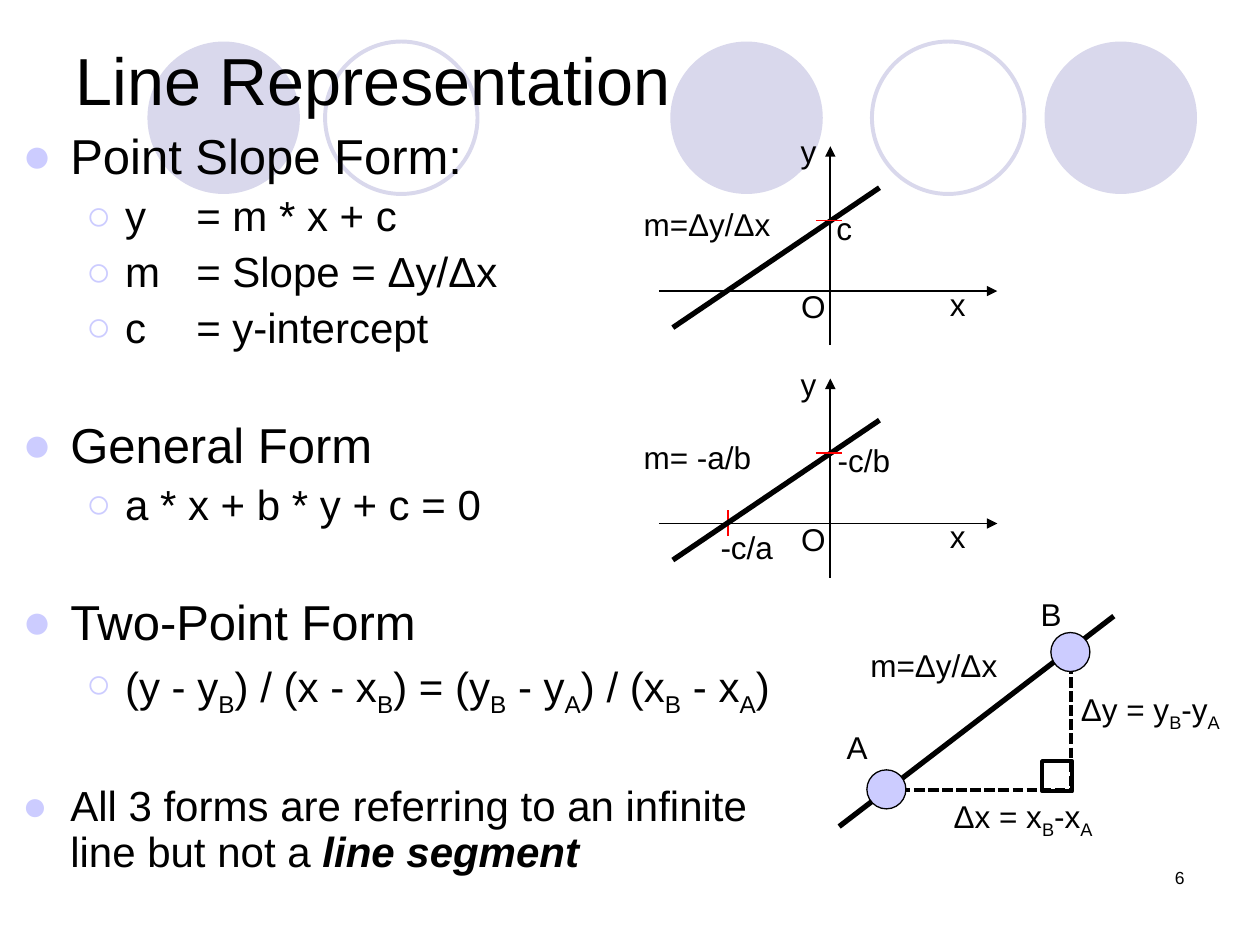
from dataclasses import dataclass
from typing import Optional

import lxml.etree
import pptx
import pptx.dml.color
import pptx.enum.dml
import pptx.enum.shapes
import pptx.enum.text
import pptx.oxml.ns
import pptx.util

COLUMNS, ROWS = 100, 75
CELL = pptx.util.Inches(0.1)
GRAPH_STEP = 18.45


@dataclass(frozen=True)
class Theme:
    font: str = "Arial"
    ink: str = "000000"
    decor: str = "D9D8EC"
    accent: str = "CCCCFF"
    mark: str = "FF0000"
    title: float = 38
    heading: float = 28
    detail: float = 24
    label: float = 18
    number: float = 10


@dataclass(frozen=True)
class Level:
    bullet: str
    left: float
    hanging: float


@dataclass(frozen=True)
class Point:
    text: str
    level: Level
    size: float
    before: float


@dataclass(frozen=True)
class Stroke:
    start: tuple[float, float]
    end: tuple[float, float]
    width: float = 1
    color: str = Theme.ink
    arrow: bool = False
    dashed: bool = False


@dataclass(frozen=True)
class Label:
    text: str
    left: float
    top: float
    width: float
    height: float = 4


THEME = Theme()
FORM = Level("●", 3.8, 3.8)
FORMULA = Level("○", 8.15, 3.1)
POINTS = [
    Point("Point Slope Form:", FORM, THEME.heading, 0),
    Point("y\t= m * x + c", FORMULA, THEME.detail, 6),
    Point("m\t= Slope = Δy/Δx", FORMULA, THEME.detail, 6),
    Point("c\t= y-intercept", FORMULA, THEME.detail, 6),
    Point("General Form", FORM, THEME.heading, 39),
    Point("a * x + b * y + c = 0", FORMULA, THEME.detail, 6),
    Point("Two-Point Form", FORM, THEME.heading, 39),
    Point("(y - y_B) / (x - x_B) = (y_B - y_A) / (x_B - x_A)", FORMULA, THEME.detail, 6),
    Point("All 3 forms are referring to an infinite line but not a |line segment",
          FORM, THEME.detail, 41.5),
]
AXES = [
    Stroke((52.3, 23.1), (79.15, 23.1), arrow=True),
    Stroke((65.9, 27.4), (65.9, 11.6), arrow=True),
    Stroke((53.4, 26), (69.8, 14.9), 3),
    Stroke((64.75, 17.5), (66.8, 17.5), color=THEME.mark),
]
AXIS_LABELS = [
    Label("O", 62.6, 22.3, 3.9),
    Label("y", 62.55, 10, 3.2),
    Label("x", 74.4, 22.1, 3.9),
]
SLOPE_LABELS = [Label("m=Δy/Δx", 50.1, 15.8, 12.5), Label("c", 65.4, 16.1, 3.2)]
GENERAL_LABELS = [
    Label("m= -a/b", 50.1, 15.8, 11),
    Label("-c/b", 65.5, 16.1, 6.5),
    Label("-c/a", 56.2, 22.95, 6.5),
]
X_INTERCEPT = Stroke((57.8, 24.1), (57.8, 22), color=THEME.mark)
TRIANGLE = [
    Stroke((70.3, 62.7), (85.1, 62.7), 2, dashed=True),
    Stroke((85, 51.5), (85, 62.9), 2, dashed=True),
    Stroke((66.6, 65.6), (88.4, 48.9), 3),
]
TRIANGLE_LABELS = [
    Label("m=Δy/Δx", 68.1, 50.8, 12.5),
    Label("A", 66.2, 57.3, 3.8),
    Label("B", 81.6, 46.7, 3.8),
    Label("Δx = x_B-x_A", 74.7, 62.8, 13.6, 4.4),
    Label("Δy = y_B-y_A", 84.8, 54.3, 13.6, 4.4),
]


def cells(count: float) -> int:
    return round(count * CELL)


def rgb(color: str) -> pptx.dml.color.RGBColor:
    return pptx.dml.color.RGBColor.from_string(color)


def child(parent, tag: str, **attributes: str):
    return lxml.etree.SubElement(parent, pptx.oxml.ns.qn(tag), **attributes)


def text_frame(slide, left: float, top: float, width: float, height: float):
    frame = slide.shapes.add_textbox(*map(cells, (left, top, width, height))).text_frame
    frame.word_wrap = True
    return frame


def write(frame, text: str, *, size: float, level: Optional[Level] = None,
          before: float = 0, right: bool = False) -> None:
    paragraph = frame.paragraphs[0]
    if paragraph.runs:
        paragraph = frame.add_paragraph()
    if right:
        paragraph.alignment = pptx.enum.text.PP_ALIGN.RIGHT
    if level:
        paragraph.line_spacing = 0.9
        paragraph.space_before = pptx.util.Pt(before)
        properties = paragraph._p.get_or_add_pPr()
        properties.set("marL", str(cells(level.left)))
        properties.set("indent", str(-cells(level.hanging)))
        child(child(properties, "a:buClr"), "a:srgbClr", val=THEME.accent)
        child(properties, "a:buFont", typeface=THEME.font)
        child(properties, "a:buChar", char=level.bullet)
        child(child(properties, "a:tabLst"), "a:tab", pos=str(cells(13.8)), algn="l")
    for part, phrase in enumerate(text.split("|")):
        first, *rest = phrase.split("_")
        pieces = [(first, False)]
        for piece in rest:
            pieces += [(piece[0], True), (piece[1:], False)]
        for words, subscript in pieces:
            if not words:
                continue
            run = paragraph.add_run()
            run.text = words
            run.font.name = THEME.font
            run.font.size = pptx.util.Pt(size)
            run.font.color.rgb = rgb(THEME.ink)
            if part:
                run.font.bold = run.font.italic = True
            if subscript:
                run._r.get_or_add_rPr().set("baseline", "-25000")


def draw_shape(slide, kind: str, left: float, top: float, side: float, *,
               fill: Optional[str] = None, line: Optional[str] = None, width: float = 1) -> None:
    preset = getattr(pptx.enum.shapes.MSO_SHAPE, kind)
    shape = slide.shapes.add_shape(preset, *map(cells, (left, top, side, side)))
    shape.shadow.inherit = False
    for paint, color in ((shape.fill, fill), (shape.line.fill, line)):
        if color:
            paint.solid()
            paint.fore_color.rgb = rgb(color)
        else:
            paint.background()
    if line:
        shape.line.width = pptx.util.Pt(width)


def draw_stroke(slide, stroke: Stroke, down: float = 0) -> None:
    (x1, y1), (x2, y2) = stroke.start, stroke.end
    connector = slide.shapes.add_connector(
        pptx.enum.shapes.MSO_CONNECTOR.STRAIGHT, *map(cells, (x1, y1 + down, x2, y2 + down)))
    connector.line.color.rgb = rgb(stroke.color)
    connector.line.width = pptx.util.Pt(stroke.width)
    if stroke.dashed:
        connector.line.dash_style = pptx.enum.dml.MSO_LINE.SQUARE_DOT
    if stroke.arrow:
        child(connector.line._get_or_add_ln(), "a:tailEnd", type="triangle")
    child(connector._element.spPr, "a:effectLst")


def draw_diagram(slide, strokes: list[Stroke], labels: list[Label], down: float = 0) -> None:
    for stroke in strokes:
        draw_stroke(slide, stroke, down)
    for label in labels:
        frame = text_frame(slide, label.left, label.top + down, label.width, label.height)
        write(frame, label.text, size=THEME.label)


def main() -> None:
    deck = pptx.Presentation()
    deck.slide_width, deck.slide_height = cells(COLUMNS), cells(ROWS)
    slide = deck.slides.add_slide(deck.slide_layouts[6])

    for left in (11.7, 53.2, 82.9):
        draw_shape(slide, "OVAL", left, 3.3, 12.1, fill=THEME.decor)
    for left in (25.8, 69.2):
        draw_shape(slide, "OVAL", left, 3.3, 12.1, line=THEME.decor, width=2.25)

    forms = text_frame(slide, 0.8, 10, 64.3, 61.4)
    for point in POINTS:
        write(forms, point.text, size=point.size, level=point.level, before=point.before)
    write(text_frame(slide, 71.7, 68.3, 23.3, 5), "6", size=THEME.number, right=True)
    title = text_frame(slide, 5, 0, 90, 12.5)
    title.vertical_anchor = pptx.enum.text.MSO_ANCHOR.MIDDLE
    write(title, "Line Representation", size=THEME.title)

    draw_diagram(slide, TRIANGLE, TRIANGLE_LABELS)
    for left, top in ((68.8, 61.1), (83.4, 50.2)):
        draw_shape(slide, "OVAL", left, top, 3.1, fill=THEME.accent, line=THEME.ink, width=0.75)
    draw_shape(slide, "RECTANGLE", 82.7, 60.4, 2.4, line=THEME.ink, width=2)
    draw_diagram(slide, AXES, AXIS_LABELS + SLOPE_LABELS)
    draw_diagram(slide, [X_INTERCEPT] + AXES, AXIS_LABELS + GENERAL_LABELS, GRAPH_STEP)

    deck.save("out.pptx")


if __name__ == "__main__":
    main()
